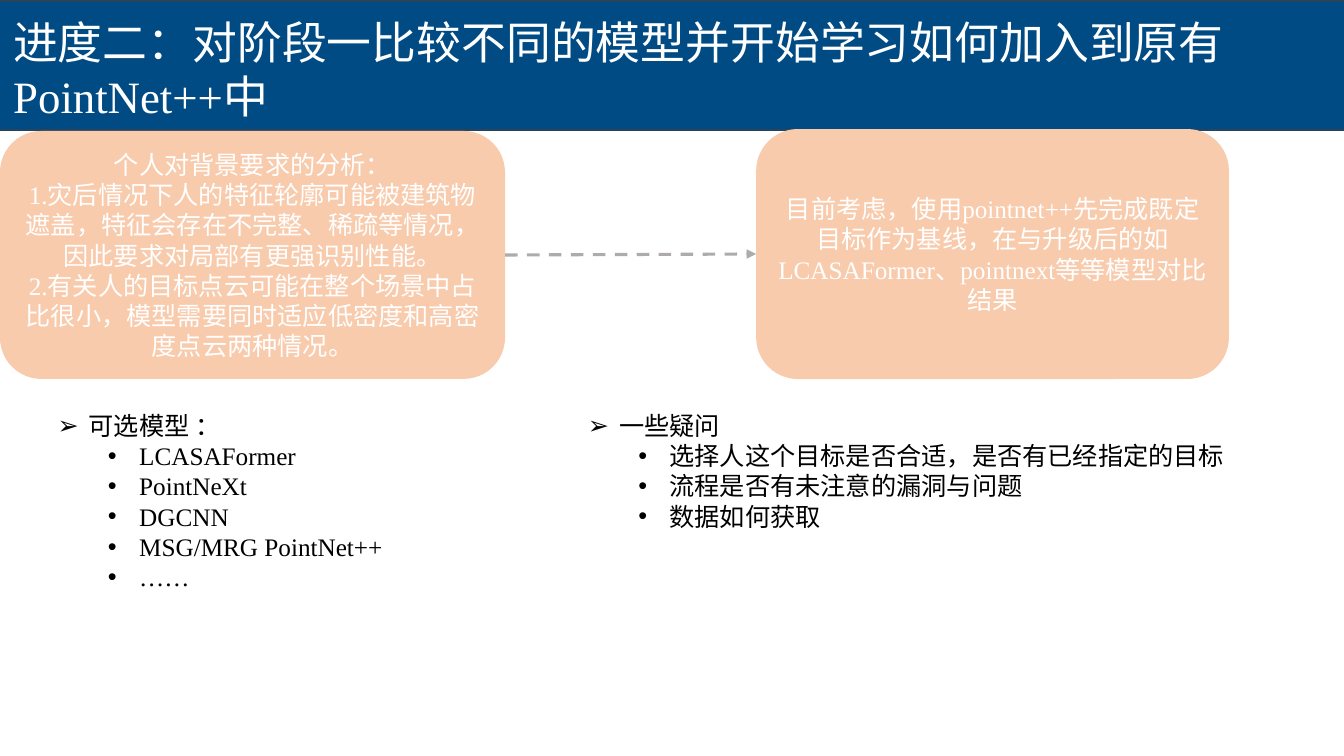
"""Build the progress slide on comparing point cloud models."""
from lxml.etree import SubElement
from pptx import Presentation
from pptx.dml.color import RGBColor
from pptx.enum.dml import MSO_LINE
from pptx.enum.shapes import MSO_CONNECTOR, MSO_SHAPE
from pptx.enum.text import MSO_ANCHOR, MSO_AUTO_SIZE, PP_ALIGN
from pptx.oxml.ns import qn
from pptx.util import Inches, Pt

COLORS = {
    "banner": "004B84",
    "banner_edge": "28445D",
    "card": "F8CBAD",
    "arrow": "AFABAB",
    "light": "FFFFFF",
    "dark": "000000",
}
BULLETS = (("➢", 0.31), ("•", 0.81))
HANGING = 0.31


def apply(target, values):
    for name, value in values.items():
        setattr(target, name, value)


class ProgressSlide:
    """Places elements by percent of the slide's width and height."""

    def __init__(self, deck, layout):
        self.unit_x = deck.slide_width / 100
        self.unit_y = deck.slide_height / 100
        self.slide = deck.slides.add_slide(deck.slide_layouts[layout])
        self.font = {"name": "Times New Roman", "bold": False}

    def place(self, x, y, width, height):
        return (round(x * self.unit_x), round(y * self.unit_y),
                round(width * self.unit_x), round(height * self.unit_y))

    def paint(self, fill, color):
        fill.solid()
        fill.fore_color.rgb = RGBColor.from_string(COLORS[color])

    def typeset(self, paragraph, text, size, color, align):
        paragraph.text = text
        apply(paragraph, {"alignment": align, "line_spacing": 1.0,
                          "space_before": Pt(0), "space_after": Pt(0)})
        font = paragraph.runs[0].font
        apply(font, {**self.font, "size": Pt(size)})
        self.paint(font.fill, color)

    def block(self, kind, area, color):
        block = self.slide.shapes.add_shape(kind, *self.place(*area))
        block.shadow.inherit = False
        self.paint(block.fill, color)
        return block

    def banner(self, area):
        banner = self.block(MSO_SHAPE.RECTANGLE, area, "banner")
        banner.line.width = Pt(1)
        self.paint(banner.line.fill, "banner_edge")
        self.slide.shapes.element.insert(2, banner.element)

    def card(self, area, lines):
        card = self.block(MSO_SHAPE.ROUNDED_RECTANGLE, area, "card")
        card.line.fill.background()
        frame = card.text_frame
        apply(frame, {"word_wrap": True, "vertical_anchor": MSO_ANCHOR.MIDDLE})
        for row, line in enumerate(lines):
            paragraph = frame.add_paragraph() if row else frame.paragraphs[0]
            self.typeset(paragraph, line, 18, "light", PP_ALIGN.CENTER)

    def holder(self, index, area):
        holder = self.slide.placeholders[index]
        sides = ("left", "top", "width", "height")
        apply(holder, dict(zip(sides, self.place(*area))))
        apply(holder.text_frame, {
            "word_wrap": True, "vertical_anchor": MSO_ANCHOR.TOP,
            "auto_size": MSO_AUTO_SIZE.SHAPE_TO_FIT_TEXT})
        return holder.text_frame

    def title(self, area, text):
        heading = self.holder(0, area).paragraphs[0]
        self.typeset(heading, text, 32, "light", PP_ALIGN.LEFT)

    def outline(self, index, area, topic, items):
        frame = self.holder(index, area)
        for row, line in enumerate((topic, *items)):
            paragraph = frame.add_paragraph() if row else frame.paragraphs[0]
            paragraph.level = min(row, 1)
            self.typeset(paragraph, line, 18, "dark", PP_ALIGN.LEFT)
            mark, margin = BULLETS[paragraph.level]
            properties = paragraph._p.get_or_add_pPr()
            properties.set("marL", str(Inches(margin)))
            properties.set("indent", str(-Inches(HANGING)))
            SubElement(properties, qn("a:buFont"), typeface="Arial")
            SubElement(properties, qn("a:buChar"), char=mark)

    def arrow(self, start, end):
        arrow = self.slide.shapes.add_connector(
            MSO_CONNECTOR.STRAIGHT, *self.place(*start, *end))
        apply(arrow.line, {"width": Pt(2.25), "dash_style": MSO_LINE.DASH})
        self.paint(arrow.line.fill, "arrow")
        properties = arrow.element.spPr
        SubElement(properties.find(qn("a:ln")), qn("a:tailEnd"), type="triangle")
        SubElement(properties, qn("a:effectLst"))


def main():
    deck = Presentation()
    apply(deck, {"slide_width": Inches(13.33), "slide_height": Inches(7.5)})
    progress = ProgressSlide(deck, 3)
    progress.banner((-0.53, 0.13, 101.05, 17.07))
    progress.card((0, 17.33, 37.58, 32.8), (
        "个人对背景要求的分析：",
        "1.灾后情况下人的特征轮廓可能被建筑物遮盖，特征会存在不完整、稀疏等情况，"
        "因此要求对局部有更强识别性能。",
        "2.有关人的目标点云可能在整个场景中占比很小，"
        "模型需要同时适应低密度和高密度点云两种情况。",
    ))
    progress.card((56.26, 17.07, 35.18, 33.07), (
        "目前考虑，使用pointnet++先完成既定目标作为基线，"
        "在与升级后的如LCASAFormer、pointnext等等模型对比结果",
    ))
    progress.title((0.23, 1.33, 102.1, 15.73),
                   "进度二：对阶段一比较不同的模型并开始学习如何加入到原有PointNet++中")
    progress.outline(1, (3.53, 53.6, 30.53, 25.6), "可选模型 ：", (
        "LCASAFormer", "PointNeXt", "DGCNN", "MSG/MRG PointNet++", "……"))
    progress.arrow((37.58, 33.73), (56.26, 33.6))
    progress.outline(2, (42.99, 53.6, 51.99, 17.47), "一些疑问", (
        "选择人这个目标是否合适，是否有已经指定的目标",
        "流程是否有未注意的漏洞与问题",
        "数据如何获取",
    ))
    deck.save("out.pptx")


if __name__ == "__main__":
    main()
